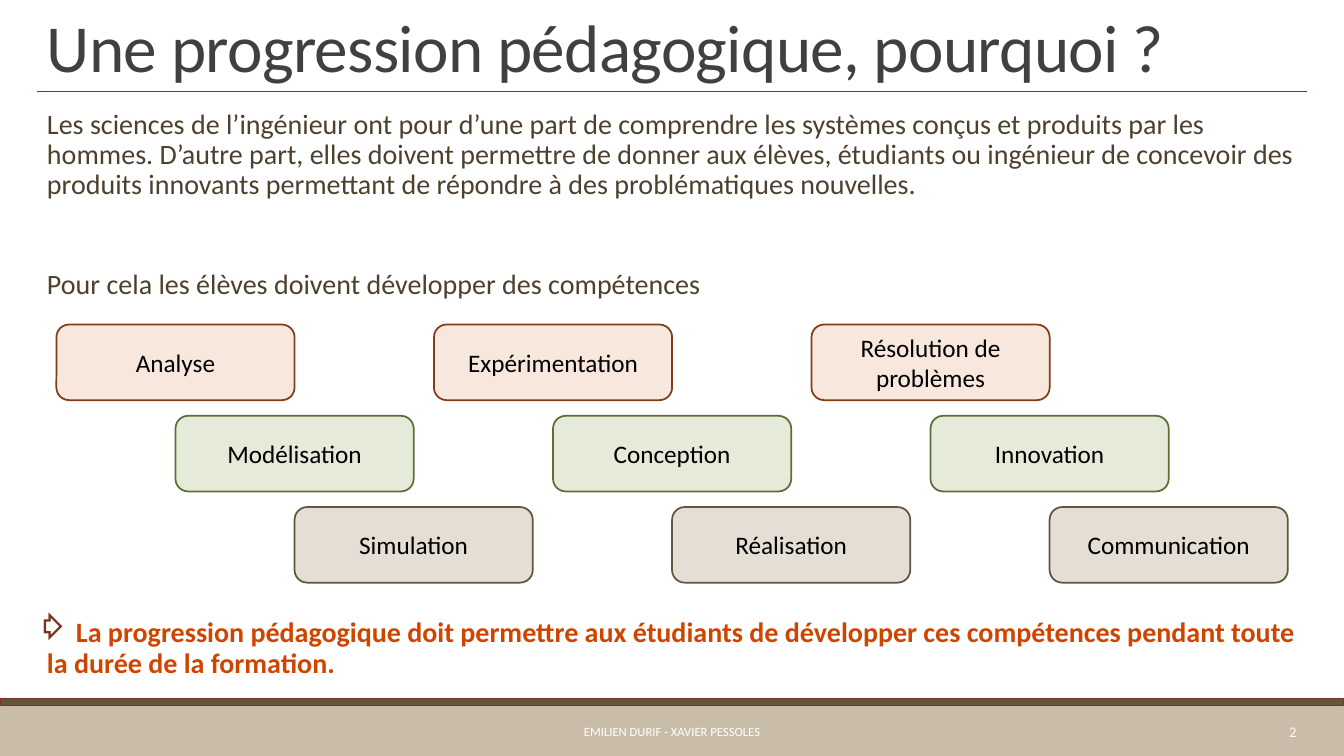
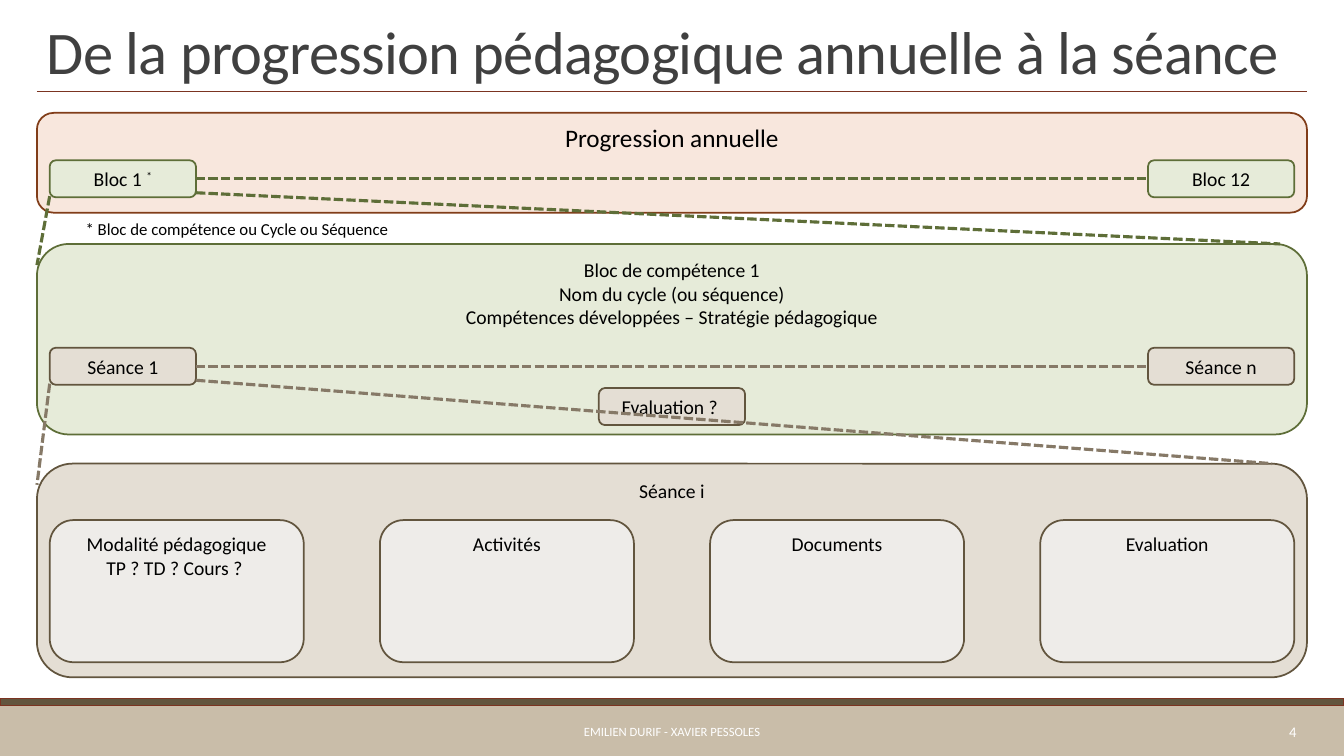
from dataclasses import dataclass

from lxml.etree import SubElement
from pptx import Presentation
from pptx.dml.color import RGBColor
from pptx.enum.dml import MSO_LINE_DASH_STYLE as Dash
from pptx.enum.shapes import MSO_CONNECTOR as Link, MSO_SHAPE as Form
from pptx.enum.text import MSO_ANCHOR as Anchor, PP_ALIGN as Align
from pptx.oxml.ns import qn
from pptx.util import Inches, Pt


@dataclass(frozen=True)
class Tone:
    fill: str
    line: str


@dataclass(frozen=True)
class Theme:
    font: str = "Calibri"
    title: str = "404040"
    body: str = "4D402D"
    strong: str = "CF4500"
    ink: str = "000000"
    white: str = "FFFFFF"
    accent: str = "7B3421"
    band: str = "C9BDA9"
    stripe: Tone = Tone("62553E", "7B3421")
    peach: Tone = Tone("F8E7DD", "813D19")
    green: Tone = Tone("E6EBD9", "5E6E38")
    sand: Tone = Tone("E4DED4", "62553E")
    pale: Tone = Tone("EEECE9", "62553E")
    taupe: str = "867967"
    title_size: float = 48
    long_title_size: float = 43.2
    body_size: float = 20
    label_size: float = 18
    small_size: float = 14
    note_size: float = 12
    number_size: float = 10.5
    footer_size: float = 9
    outline: float = 1.25
    hairline: float = 0.5
    dashed: float = 2.25


THEME = Theme()
SLIDE_WIDTH, SLIDE_HEIGHT = Inches(13.33), Inches(7.5)
COLUMN, ROW = SLIDE_WIDTH / 100, SLIDE_HEIGHT / 100

MARGIN, CONTENT = 2.75, 94.5
INNER = 3.7
INNER_END = 100 - INNER
TAG_WIDTH, TAG_HEIGHT = 10.88, 4.9
TAG_END = INNER_END - TAG_WIDTH
TAG_MIDDLE = (INNER + TAG_END) / 2

AUTHORS = "EMILIEN DURIF - XAVIER PESSOLES"
SKILLS = (
    (THEME.peach, ("Analyse", "Expérimentation", "Résolution de problèmes")),
    (THEME.green, ("Modélisation", "Conception", "Innovation")),
    (THEME.sand, ("Simulation", "Réalisation", "Communication")),
)
CARDS = (
    ("Modalité pédagogique", "TP ? TD ? Cours ? "),
    ("Activités",),
    ("Documents",),
    ("Evaluation",),
)


def place(left, top, width, height):
    return (round(left * COLUMN), round(top * ROW),
            round(width * COLUMN), round(height * ROW))


def add_span(para, text, size, color, bold=False, **extras):
    span = para.add_run()
    span.text = text
    span.font.name = THEME.font
    span.font.size = Pt(size)
    span.font.bold = bold
    span.font.color.rgb = RGBColor.from_string(color)
    for name, value in extras.items():
        span.font._element.set(name, str(value))
    return span


def write_lines(frame, lines, size, color, align, anchor, **extras):
    frame.word_wrap = True
    frame.vertical_anchor = anchor
    for index, line in enumerate(lines):
        para = frame.add_paragraph() if index else frame.paragraphs[0]
        para.alignment = align
        add_span(para, line, size, color, **extras)


def add_text(page, area, text, size, color, align=Align.LEFT,
             anchor=Anchor.MIDDLE, **extras):
    box = page.shapes.add_textbox(*place(*area))
    write_lines(box.text_frame, (text,), size, color, align, anchor, **extras)
    return box


def add_block(page, form, area, fill, line=None):
    block = page.shapes.add_shape(form, *place(*area))
    block.shadow.inherit = False
    block.fill.solid()
    block.fill.fore_color.rgb = RGBColor.from_string(fill)
    if line:
        block.line.color.rgb = RGBColor.from_string(line)
        block.line.width = Pt(THEME.outline)
    else:
        block.line.fill.background()
    return block


def add_card(page, area, tone, lines, size=THEME.small_size, anchor=Anchor.TOP):
    card = add_block(page, Form.ROUNDED_RECTANGLE, area, tone.fill, tone.line)
    write_lines(card.text_frame, lines, size, THEME.ink, Align.CENTER, anchor)
    return card


def add_tag(page, left, top, tone, text):
    return add_card(page, (left, top, TAG_WIDTH, TAG_HEIGHT), tone, (text,),
                    anchor=Anchor.MIDDLE)


def add_line(page, start, end, color, width, dash=None):
    ends = [round(value * unit) for point in (start, end)
            for value, unit in zip(point, (COLUMN, ROW))]
    line = page.shapes.add_connector(Link.STRAIGHT, *ends)
    line.line.color.rgb = RGBColor.from_string(color)
    line.line.width = Pt(width)
    if dash:
        line.line.dash_style = dash
    SubElement(line.element.spPr, qn("a:effectLst"))


def add_dashes(page, start, end, color):
    add_line(page, start, end, color, THEME.dashed, Dash.SQUARE_DOT)


def add_page(deck, title, number, title_size=THEME.title_size):
    page = deck.slides.add_slide(deck.slide_layouts[6])
    add_block(page, Form.RECTANGLE, (0, 93.33, 100, 6.67), THEME.band)
    add_block(page, Form.RECTANGLE, (0, 92.4, 100, 0.93),
              THEME.stripe.fill, THEME.stripe.line)
    add_line(page, (MARGIN, 12.15), (MARGIN + CONTENT, 12.15),
             THEME.accent, THEME.hairline)
    heading = add_text(page, (MARGIN, 0.5, CONTENT, 11.6), title, title_size,
                       THEME.title, anchor=Anchor.BOTTOM, spc=-50)
    heading.text_frame.paragraphs[0].line_spacing = 0.85
    add_text(page, (20.5, 94.13, 59, 5.33), AUTHORS, THEME.footer_size,
             THEME.white, Align.CENTER)
    add_text(page, (85.4, 94.13, 11.8, 5.33), str(number), THEME.number_size,
             THEME.white, Align.RIGHT)
    return page


def set_bullet(para, symbol, color):
    props = para._p.get_or_add_pPr()
    props.set("indent", str(-Inches(0.1)))
    SubElement(SubElement(props, qn("a:buClr")), qn("a:srgbClr"), val=color)
    SubElement(props, qn("a:buChar"), char=symbol)


def add_body_para(frame, first, before, spans):
    para = frame.paragraphs[0] if first else frame.add_paragraph()
    para.line_spacing = 0.9
    para.space_before = Pt(before)
    para.space_after = Pt(2)
    para._p.get_or_add_pPr().set("marL", str(Inches(0.1)))
    for text, color, bold in spans:
        add_span(para, text, THEME.body_size, color, bold)
    return para


def add_body(page):
    box = page.shapes.add_textbox(*place(MARGIN, 13.87, CONTENT, 77.6))
    frame = box.text_frame
    frame.word_wrap = True
    frame.margin_left = frame.margin_right = 0
    add_body_para(frame, True, 0, [(
        "Les sciences de l’ingénieur ont pour d’une part de comprendre les "
        "systèmes conçus et produits par les hommes. D’autre part, elles "
        "doivent permettre de donner aux élèves, étudiants ou ingénieur de "
        "concevoir des produits innovants permettant de répondre à des "
        "problématiques nouvelles.", THEME.body, False)])
    add_body_para(frame, False, 48, [(
        "Pour cela les élèves doivent développer des compétences",
        THEME.body, False)])
    conclusion = add_body_para(frame, False, 225, [
        (" ", THEME.body, False),
        ("La progression pédagogique doit permettre aux étudiants de "
         "développer ces compétences pendant toute la durée de la formation.",
         THEME.strong, True)])
    set_bullet(conclusion, "⇨", THEME.accent)


def add_skills(page):
    width, height = 17.72, 10
    for row, (tone, names) in enumerate(SKILLS):
        for column, name in enumerate(names):
            left = 4.2 + column * 28.09 + row * width / 2
            top = 42.93 + row * 12.07
            add_card(page, (left, top, width, height), tone, (name,),
                     THEME.label_size, Anchor.MIDDLE)


def add_series(page, top, tone, color, first, last):
    middle = top + TAG_HEIGHT / 2
    tag = add_tag(page, INNER, top, tone, first)
    add_tag(page, TAG_END, top, tone, last)
    add_dashes(page, (INNER + TAG_WIDTH, middle), (TAG_END, middle), color)
    return tag


def add_zoom(page, tag_top, band_top, reach, color):
    add_dashes(page, (INNER, tag_top + 4.75), (MARGIN, band_top + 2.8), color)
    add_dashes(page, (INNER + TAG_WIDTH, tag_top + 4.3), (reach, band_top), color)


def add_levels(page):
    year, cycle, session = 14.93, 32.27, 61.33
    blocks, sessions = 21.2, 46
    add_card(page, (MARGIN, year, CONTENT, 13.2), THEME.peach,
             ("Progression annuelle",), THEME.label_size)
    add_card(page, (MARGIN, cycle, CONTENT, 25.2), THEME.green,
             ("Bloc de compétence 1", "Nom du cycle (ou séquence)",
              "Compétences développées – Stratégie pédagogique"))
    add_card(page, (MARGIN, session, CONTENT, 28.27), THEME.sand, ("Séance i",))

    first = add_series(page, blocks, THEME.green, THEME.green.line,
                       "Bloc 1 ", "Bloc 12")
    add_span(first.text_frame.paragraphs[0], "*", THEME.small_size, THEME.ink,
             baseline=30000)
    add_series(page, sessions, THEME.sand, THEME.taupe, "Séance 1", "Séance n")
    add_tag(page, TAG_MIDDLE, 51.33, THEME.sand, "Evaluation ? ")
    add_zoom(page, blocks, cycle, 95.25, THEME.green.line)
    add_zoom(page, sessions, session, 94.65, THEME.taupe)

    width = 18.9
    step = (INNER_END - INNER - width) / (len(CARDS) - 1)
    for index, lines in enumerate(CARDS):
        add_card(page, (INNER + index * step, 68.8, width, 18.8),
                 THEME.pale, lines)
    add_text(page, (5.63, 28.27, 50.9, 4),
             "* Bloc de compétence ou Cycle ou Séquence",
             THEME.note_size, THEME.ink, anchor=Anchor.TOP)


def main():
    deck = Presentation()
    deck.slide_width, deck.slide_height = SLIDE_WIDTH, SLIDE_HEIGHT
    purpose = add_page(deck, "Une progression pédagogique, pourquoi ?", 2)
    add_body(purpose)
    add_skills(purpose)
    levels = add_page(deck, "De la progression pédagogique annuelle à la séance",
                      4, THEME.long_title_size)
    add_levels(levels)
    deck.save("out.pptx")


if __name__ == "__main__":
    main()
